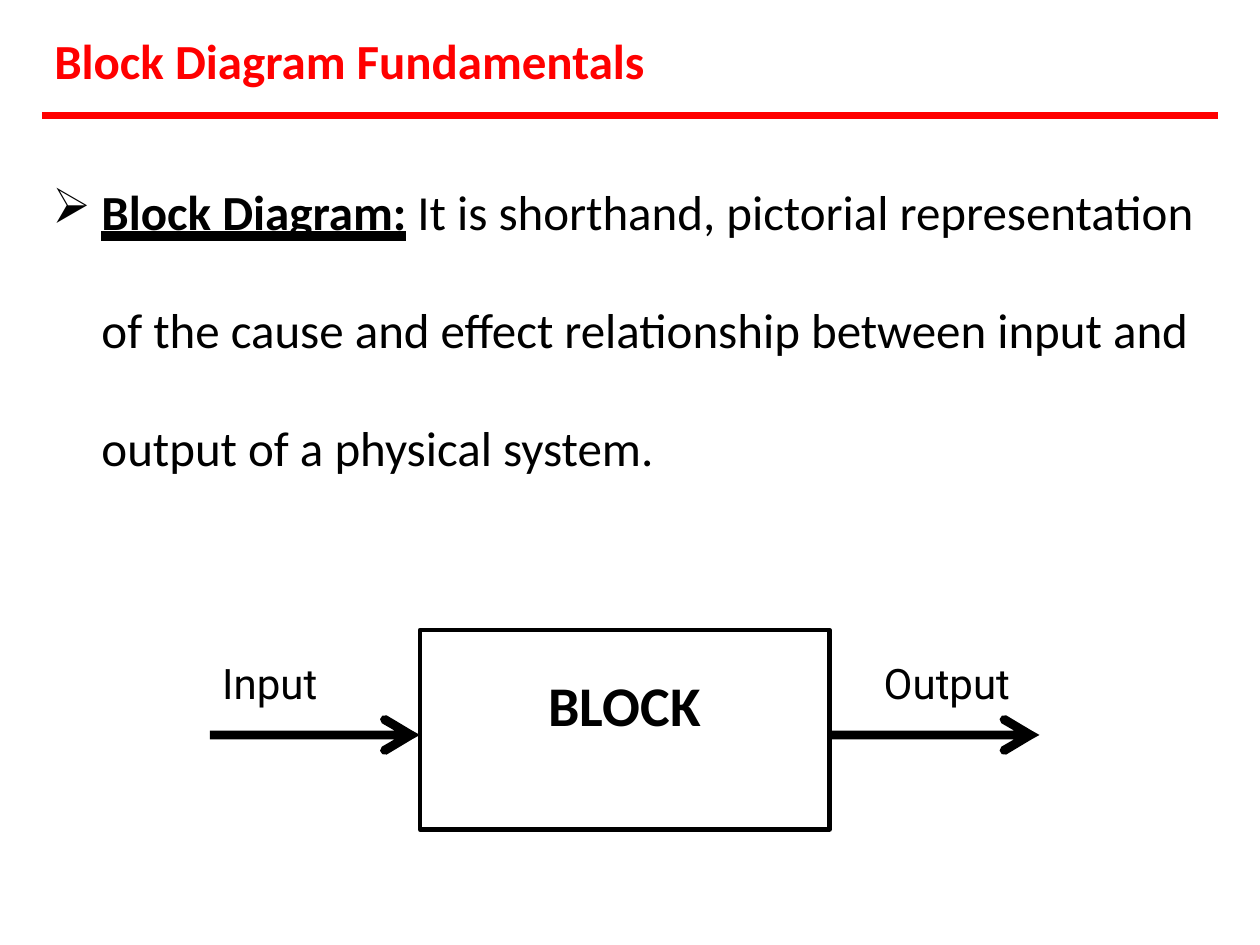
from lxml import etree
from pptx import Presentation
from pptx.dml.color import RGBColor
from pptx.enum.shapes import MSO_CONNECTOR, MSO_SHAPE
from pptx.enum.text import MSO_ANCHOR, MSO_UNDERLINE, PP_ALIGN
from pptx.oxml.ns import qn
from pptx.util import Pt

BLACK = RGBColor(0, 0, 0)
RED = RGBColor(255, 0, 0)
RECT = MSO_SHAPE.RECTANGLE
STRAIGHT = MSO_CONNECTOR.STRAIGHT
TOP = MSO_ANCHOR.TOP
CENTER = PP_ALIGN.CENTER
HEAVY = MSO_UNDERLINE.HEAVY_LINE

BODY = "Calibri"
LABEL = "Roboto"
INDENT = 28
MID = 420
REACH = 120
# Upper half of an arrow, from its tail to its tip, relative to the tail
HALF = [(0, -2.5), (105.5, -2.5), (98.2, -6.7), (97.2, -9), (98.5, -11),
        (101, -11.2), (115.5, -2.5), (REACH, 0)]


def style(para, size, name=BODY, color=BLACK, bold=False):
    font = para.font
    font.size, font.name, font.bold = Pt(size), name, bold
    font.color.rgb = color


def inset(frame, top):
    frame.margin_left = frame.margin_right = frame.margin_bottom = 0
    frame.margin_top = Pt(top)
    frame.vertical_anchor = TOP
    frame.word_wrap = True


def add_frame(slide, left, top, width, height):
    box = slide.shapes.add_textbox(Pt(left), Pt(top), Pt(width), Pt(height))
    inset(box.text_frame, 1)
    return box.text_frame


def add_label(slide, text, place, size, **look):
    para = add_frame(slide, *place).paragraphs[0]
    para.text = text
    style(para, size, **look)


def indent(para, bullet=None):
    """Indent a paragraph, hanging its bullet in the margin if it has one."""
    props = para._p.get_or_add_pPr()
    props.set("marL", str(Pt(INDENT)))
    props.set("indent", str(-Pt(INDENT) if bullet else 0))
    if bullet:
        etree.SubElement(props, qn("a:buChar")).set("char", bullet)


def add_body(slide):
    frame = add_frame(slide, 30, 103, 660, 244)
    first, rest = frame.paragraphs[0], frame.add_paragraph()
    indent(first, "➢")
    indent(rest)
    term = first.add_run()
    term.text = "Block Diagram:"
    term.font.bold = True
    term.font.underline = HEAVY
    first.add_run().text = " It is shorthand, pictorial representation"
    rest.text = ("of the cause and effect relationship between input and "
                 "output of a physical system.")
    rest.line_spacing = 2
    for para in (first, rest):
        style(para, 28)


def add_rule(slide):
    rule = slide.shapes.add_connector(
        STRAIGHT, Pt(24), Pt(66), Pt(696), Pt(66))
    rule.line.color.rgb = RED
    rule.line.width = Pt(4)
    etree.SubElement(rule._element.spPr, qn("a:effectLst"))


def add_block(slide, left, width):
    block = slide.shapes.add_shape(RECT, Pt(left), Pt(360), Pt(width), Pt(114))
    block.shadow.inherit = False
    block.fill.background()
    block.line.color.rgb = BLACK
    block.line.width = Pt(2.5)
    inset(block.text_frame, 23)
    para = block.text_frame.paragraphs[0]
    para.text = "BLOCK"
    para.alignment = CENTER
    style(para, 32, bold=True)


def add_arrow(slide, left):
    lower = [(x, -y) for x, y in reversed(HALF[:-1])]
    points = [(Pt(left + x), Pt(MID + y)) for x, y in HALF + lower]
    form = slide.shapes.build_freeform(*points[0])
    form.add_line_segments(points[1:])
    arrow = form.convert_to_shape()
    arrow.shadow.inherit = False
    arrow.fill.solid()
    arrow.fill.fore_color.rgb = BLACK
    arrow.line.fill.background()


def main():
    deck = Presentation()
    deck.slide_width, deck.slide_height = Pt(720), Pt(540)
    slide = deck.slides.add_slide(deck.slide_layouts[6])
    add_body(slide)
    add_label(slide, "Block Diagram Fundamentals", (31, 16.5, 350, 35), 28,
              color=RED, bold=True)
    left, width = 240, 234
    add_block(slide, left, width)
    add_arrow(slide, left - REACH)
    add_arrow(slide, left + width)
    add_label(slide, "Input", (127, 374.5, 59, 31), 24, name=LABEL)
    add_label(slide, "Output", (505, 374.5, 76, 31), 24, name=LABEL)
    add_rule(slide)
    deck.save("out.pptx")


if __name__ == "__main__":
    main()
